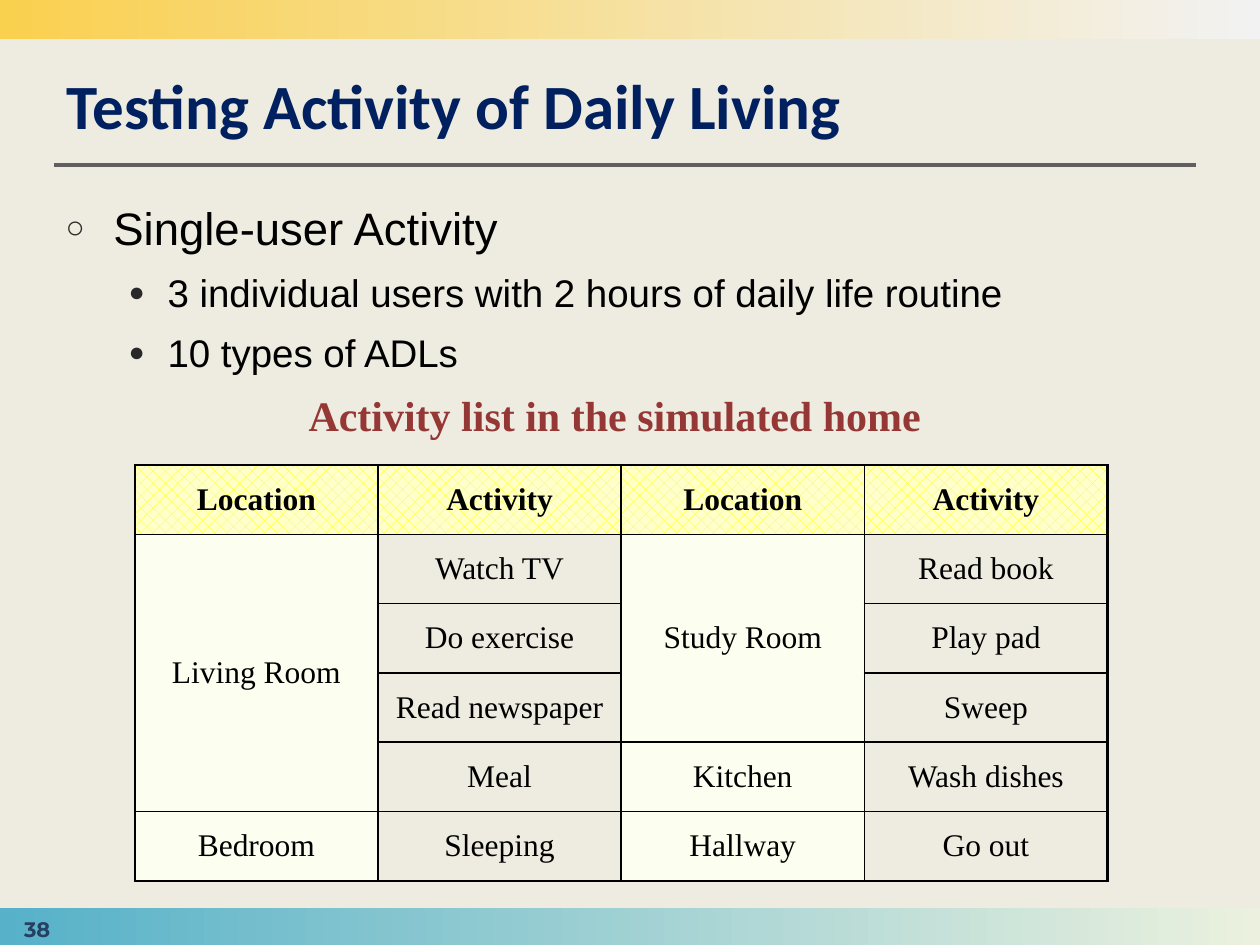
from lxml import etree
from pptx import Presentation
from pptx.dml.color import RGBColor
from pptx.enum import dml, shapes, text
from pptx.oxml.ns import qn
from pptx.util import Inches, Pt

BLACK = RGBColor(0x00, 0x00, 0x00)
BACKGROUND = RGBColor(0xEE, 0xEC, 0xE1)
NAVY = RGBColor(0x00, 0x20, 0x60)
RULE_GRAY = RGBColor(0x5F, 0x5F, 0x5F)
BULLET_GRAY = RGBColor(0x29, 0x29, 0x29)
PAGE_BLUE = RGBColor(0x25, 0x40, 0x61)
CAPTION_RED = RGBColor(0x95, 0x37, 0x35)
GOLD = RGBColor(0xFA, 0xD0, 0x4F)
PALE_GRAY = RGBColor(0xF2, 0xF2, 0xF2)
TEAL = RGBColor(0x56, 0xB1, 0xC9)
PALE_GREEN = RGBColor(0xEB, 0xF1, 0xDE)
YELLOW = RGBColor(0xFF, 0xFF, 0x00)
PALE_YELLOW = RGBColor(0xFF, 0xFF, 0xCA)
CREAM = RGBColor(0xFC, 0xFF, 0xEF)


def set_font(paragraph, name, size, color, bold=False):
    values = {"name": name, "size": Pt(size), "bold": bold}
    for key, value in values.items():
        setattr(paragraph.font, key, value)
    paragraph.font.color.rgb = color


def add_element(parent, tag, **attributes):
    return etree.SubElement(parent, qn(tag), attributes)


presentation = Presentation()
presentation.slide_width = Inches(10)
presentation.slide_height = Inches(7.5)
slide = presentation.slides.add_slide(presentation.slide_layouts[1])
slide.background.fill.solid()
slide.background.fill.fore_color.rgb = BACKGROUND

# Gradient bands and title rule
for top, start, end in ((7.21, TEAL, PALE_GREEN), (0, GOLD, PALE_GRAY)):
    band = slide.shapes.add_shape(
        shapes.MSO_SHAPE.RECTANGLE, 0, Inches(top), Inches(10), Inches(0.31))
    band.shadow.inherit = False
    band.line.fill.background()
    band.fill.gradient()
    band.fill.gradient_angle = 0
    for stop, color in zip(band.fill.gradient_stops, (start, end)):
        stop.color.rgb = color

rule = slide.shapes.add_connector(
    shapes.MSO_CONNECTOR.STRAIGHT, Inches(0.43), Inches(1.31), Inches(9.49), Inches(1.31))
rule.line.color.rgb = RULE_GRAY
rule.line.width = Pt(2.25)
add_element(rule._element.spPr, "a:effectLst")

# Title and bullet list
title, body = slide.placeholders
for placeholder, left, top, height in ((title, 0.43, 0.44, 0.74), (body, 0.42, 1.54, 5.35)):
    placeholder.left, placeholder.top = Inches(left), Inches(top)
    placeholder.width, placeholder.height = Inches(8.98), Inches(height)
    placeholder.text_frame.auto_size = text.MSO_AUTO_SIZE.NONE

title.text_frame.text = "Testing Activity of Daily Living"
title.text_frame.vertical_anchor = text.MSO_ANCHOR.BOTTOM
title.text_frame.paragraphs[0].alignment = text.PP_ALIGN.LEFT
set_font(title.text_frame.paragraphs[0], "Calibri", 36, NAVY, True)

BULLETS = [
    (0, "Single-user Activity"),
    (1, "3 individual users with 2 hours of daily life routine"),
    (1, "10 types of ADLs"),
]
LEVELS = [("○", 0.38, -0.38, 26), ("●", 0.81, -0.31, 22)]
body.text_frame.text = "\n".join(line for level, line in BULLETS)
for index, (paragraph, (level, line)) in enumerate(zip(body.text_frame.paragraphs, BULLETS)):
    symbol, margin, indent, size = LEVELS[level]
    paragraph.level = level
    paragraph.space_before = Pt(8 if index else 0)
    properties = paragraph._p.get_or_add_pPr()
    properties.set("marL", str(Inches(margin)))
    properties.set("indent", str(Inches(indent)))
    bullet_color = add_element(properties, "a:buClr")
    add_element(bullet_color, "a:srgbClr", val=str(BULLET_GRAY))
    add_element(properties, "a:buSzPct", val="70000")
    add_element(properties, "a:buFont", typeface="Arial")
    add_element(properties, "a:buChar", char=symbol)
    set_font(paragraph, "Arial", size, BLACK)

# Activity table: neighbours with the same location are merged below
ROWS = [
    ("Location", "Activity", "Location", "Activity"),
    ("Living Room", "Watch TV", "Study Room", "Read book"),
    ("", "Do exercise", "", "Play pad"),
    ("", "Read newspaper", "", "Sweep"),
    ("", "Meal", "Kitchen", "Wash dishes"),
    ("Bedroom", "Sleeping", "Hallway", "Go out"),
]
frame = slide.shapes.add_table(
    len(ROWS), 4, Inches(1.07), Inches(3.69), Inches(7.71), Inches(3.31))
table = frame.table
table.horz_banding = False
for column in table.columns:
    column.width = Inches(1.93)
for row in table.rows:
    row.height = Inches(0.55)

for row_index, values in enumerate(ROWS):
    for column_index, value in enumerate(values):
        cell = table.cell(row_index, column_index)
        cell.text = value
        cell.vertical_anchor = text.MSO_ANCHOR.MIDDLE
        cell.margin_left = cell.margin_right = Inches(0.07)
        cell.margin_top = cell.margin_bottom = 0
        paragraph = cell.text_frame.paragraphs[0]
        paragraph.alignment = text.PP_ALIGN.CENTER
        set_font(paragraph, "Times New Roman", 18, BLACK, row_index == 0)

        outer = {0: "a:lnL", 3: "a:lnR"}.get(column_index)
        for side in ("a:lnL", "a:lnR", "a:lnT", "a:lnB"):
            width = Pt(1.5 if side == outer else 1)
            border = add_element(cell._tc.get_or_add_tcPr(), side, w=str(width))
            border_fill = add_element(border, "a:solidFill")
            add_element(border_fill, "a:srgbClr", val=str(BLACK))

        if row_index == 0:
            cell.fill.patterned()
            cell.fill.pattern = dml.MSO_PATTERN.PERCENT_30
            cell.fill.fore_color.rgb = YELLOW
            cell.fill.back_color.rgb = PALE_YELLOW
        elif column_index % 2 == 0:
            cell.fill.solid()
            cell.fill.fore_color.rgb = CREAM
        else:
            cell.fill.background()

for column_index, last_row in ((0, 4), (2, 3)):
    table.cell(1, column_index).merge(table.cell(last_row, column_index))

# Table caption and page number
LABELS = [
    ("38", 0, 7.14, 0.59, 0.47, "Montserrat", 12, PAGE_BLUE, True),
    ("Activity list in the simulated home", 2.35, 3.04, 5.11, 0.5,
     "Times New Roman", 24, CAPTION_RED, False),
]
for label, left, top, width, height, font, size, color, wrap in LABELS:
    box = slide.shapes.add_textbox(Inches(left), Inches(top), Inches(width), Inches(height))
    box.text_frame.text = label
    box.text_frame.word_wrap = wrap
    box.text_frame.vertical_anchor = text.MSO_ANCHOR.MIDDLE
    paragraph = box.text_frame.paragraphs[0]
    paragraph.alignment = text.PP_ALIGN.CENTER if wrap else text.PP_ALIGN.LEFT
    set_font(paragraph, font, size, color, True)

presentation.save("out.pptx")
